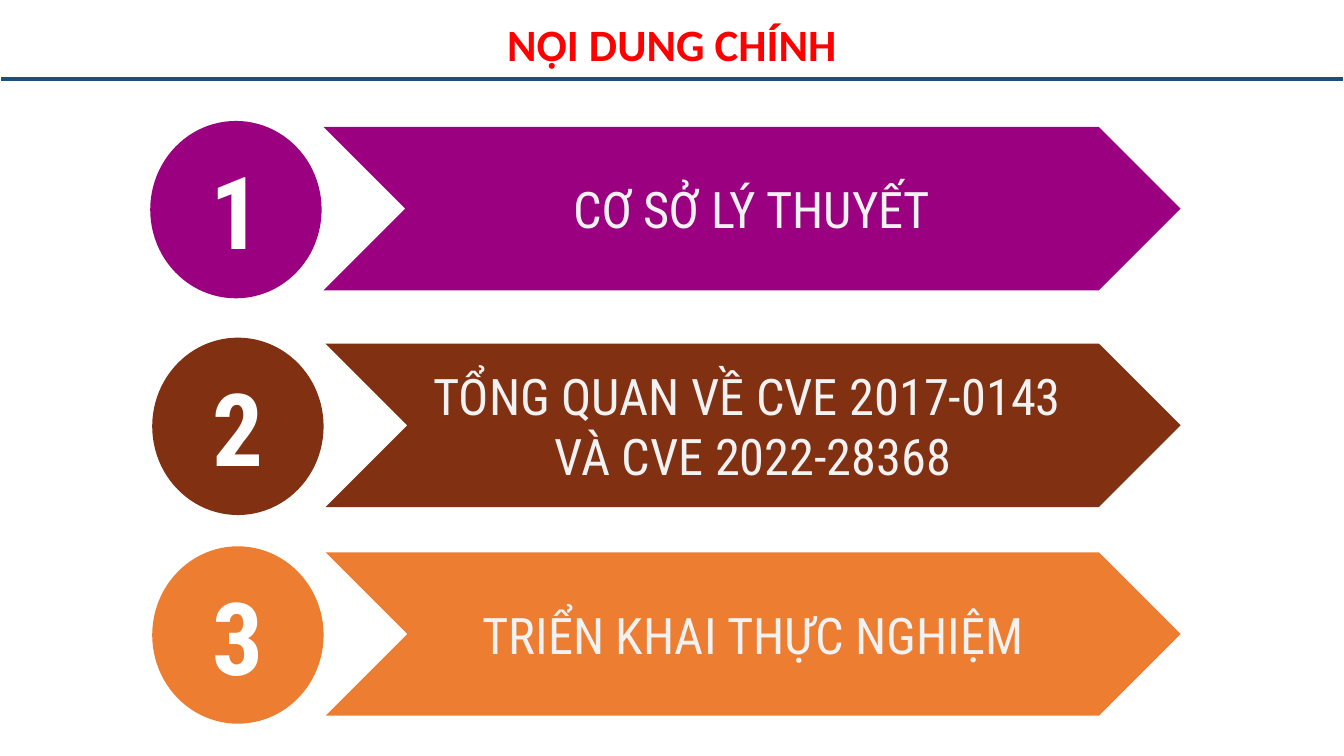
from pptx import Presentation
from pptx.dml.color import RGBColor
from pptx.enum.shapes import MSO_SHAPE as Shape
from pptx.enum.text import MSO_ANCHOR as Anchor, MSO_AUTO_SIZE as AutoSize, PP_ALIGN as Align
from pptx.util import Pt

PX = 9144
RED = RGBColor(0xFF, 0x00, 0x00)
NAVY = RGBColor(0x1F, 0x4E, 0x79)
WHITE = RGBColor(0xFF, 0xFF, 0xFF)
PALE = RGBColor(0xF2, 0xF2, 0xF2)
PURPLE = RGBColor(0x9A, 0x00, 0x80)
BROWN = RGBColor(0x81, 0x31, 0x11)
ORANGE = RGBColor(0xED, 0x7D, 0x31)

TITLE = {"name": "Calibri", "size": Pt(32), "bold": True}
NUMBER = {"name": "Roboto Condensed", "size": Pt(72), "bold": True}
TOPIC = {"name": "Roboto Condensed", "size": Pt(36), "bold": False}

TOPICS = [
    ((149, 120, 1022, 176), PURPLE, ["CƠ SỞ LÝ THUYẾT"]),
    ((151, 335, 1020, 176), BROWN, ["TỔNG QUAN VỀ CVE 2017-0143 ", "VÀ CVE 2022-28368"]),
    ((151, 542, 1020, 176), ORANGE, ["TRIỂN KHAI THỰC NGHIỆM"]),
]


def emu(*lengths):
    """Turn px lengths into EMU."""
    return [length * PX for length in lengths]


def write(frame, lines, color, formats):
    """Write centred lines as one paragraph in the given format."""
    frame.word_wrap = True
    paragraph = frame.paragraphs[0]
    paragraph.alignment = Align.CENTER
    for index, line in enumerate(lines):
        if index:
            paragraph.add_line_break()
        run = paragraph.add_run()
        run.text = line
        for key, value in formats.items():
            setattr(run.font, key, value)
        run.font.color.rgb = color


def add_filled(shapes, preset, box, color):
    """Add a plain filled shape without shadow or outline."""
    shape = shapes.add_shape(preset, *emu(*box))
    shape.shadow.inherit = False
    shape.fill.solid()
    shape.fill.fore_color.rgb = color
    shape.line.fill.background()
    return shape


def add_header(slide, box):
    """Place the title with the rule along the bottom of the box."""
    left, top, width, height = box
    rule_height = 5
    title = slide.shapes.add_textbox(*emu(left, top, width, height - rule_height))
    write(title.text_frame, ["NỘI DUNG CHÍNH"], RED, TITLE)
    title.text_frame.auto_size = AutoSize.SHAPE_TO_FIT_TEXT
    rule_top = top + height - rule_height
    rule = add_filled(slide.shapes, Shape.RECTANGLE, (left, rule_top, width, rule_height), NAVY)
    rule.line.color.rgb = WHITE
    rule.line.width = Pt(1)


def add_topic(slide, box, color, number, lines):
    """Group a numbered circle with the arrow that names the topic."""
    left, top, width, height = box
    circle_width, gap, inset, arrow_height = 170, 2, 6, 162
    arrow_offset = circle_width + gap
    topic = slide.shapes.add_group_shape()
    circle = add_filled(topic.shapes, Shape.OVAL, (left, top, circle_width, height), color)
    arrow_box = (left + arrow_offset, top + inset, width - arrow_offset, arrow_height)
    arrow = add_filled(topic.shapes, Shape.CHEVRON, arrow_box, color)
    write(circle.text_frame, [str(number)], WHITE, NUMBER)
    write(arrow.text_frame, lines, PALE, TOPIC)
    for part in (circle, arrow):
        part.text_frame.vertical_anchor = Anchor.MIDDLE


def main():
    """Build the contents slide."""
    deck = Presentation()
    deck.slide_width, deck.slide_height = emu(1333, 750)
    slide = deck.slides.add_slide(deck.slide_layouts[6])
    add_header(slide, (0, 12, 1333, 69))
    for number, (box, color, lines) in enumerate(TOPICS, 1):
        add_topic(slide, box, color, number, lines)
    deck.save("out.pptx")


if __name__ == "__main__":
    main()
